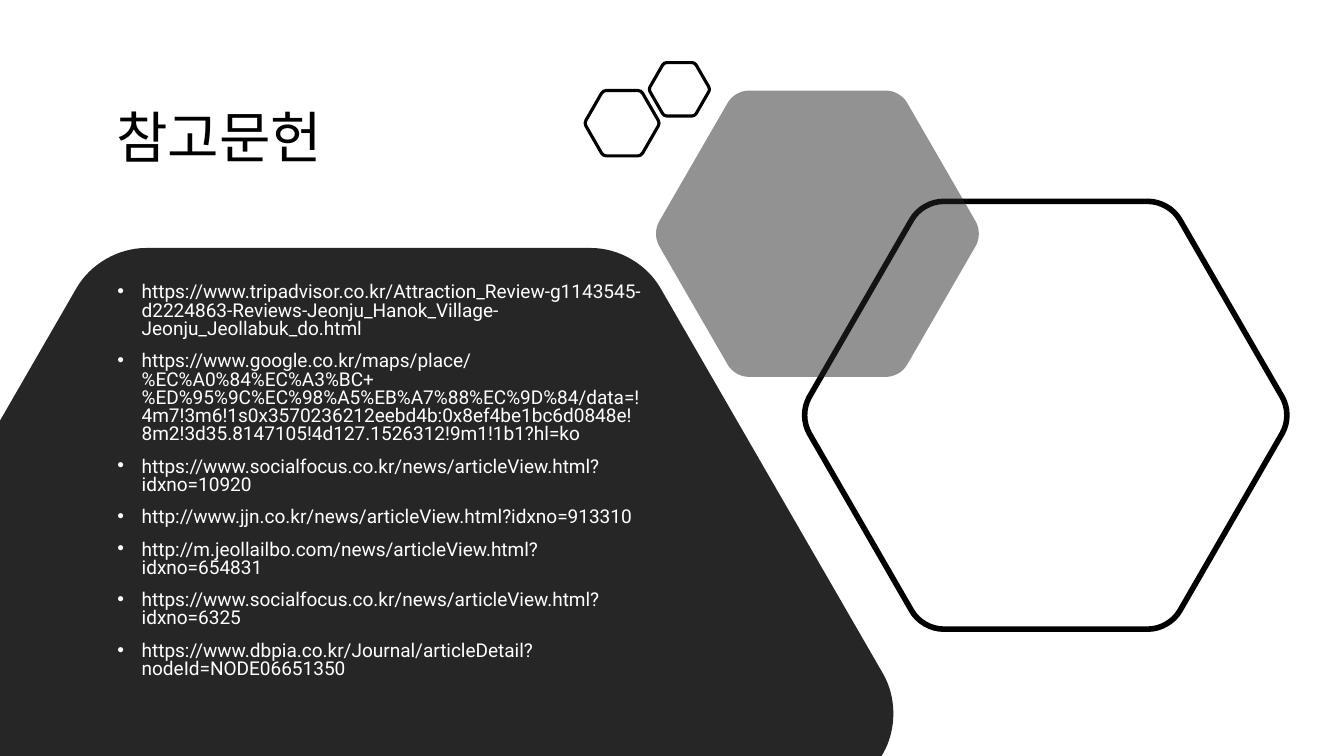
import math

import pptx
import pptx.dml.color
import pptx.enum.text
import pptx.oxml
import pptx.oxml.ns
import pptx.util

Pt = pptx.util.Pt

# Content
TITLE = "참고문헌"
REFERENCES = [
    "https://www.tripadvisor.co.kr/Attraction_Review-g1143545-d2224863-Reviews-Jeonju_Hanok_Village-Jeonju_Jeollabuk_do.html",
    "https://www.google.co.kr/maps/place/%EC%A0%84%EC%A3%BC+%ED%95%9C%EC%98%A5%EB%A7%88%EC%9D%84/data=!4m7!3m6!1s0x3570236212eebd4b:0x8ef4be1bc6d0848e!8m2!3d35.8147105!4d127.1526312!9m1!1b1?hl=ko",
    "https://www.socialfocus.co.kr/news/articleView.html?idxno=10920",
    "http://www.jjn.co.kr/news/articleView.html?idxno=913310",
    "http://m.jeollailbo.com/news/articleView.html?idxno=654831",
    "https://www.socialfocus.co.kr/news/articleView.html?idxno=6325",
    "https://www.dbpia.co.kr/Journal/articleDetail?nodeId=NODE06651350",
]

# Theme and layout, in points
THEME = {
    "font": "Roboto",
    "ink": "000000",
    "panel": "262626",
    "light": "FFFFFF",
    "title_size": 40,
    "body_size": 13.6,
}
SLIDE_WIDTH, SLIDE_HEIGHT = 960, 540
TITLE_BOX = (76, 35.3, 337, 129.6)
BODY_BOX = (76, 199.4, 388.8, 243.4)
HEXAGONS = [
    {"center": (263.2, 509.7), "side": 384, "fill": THEME["panel"]},
    {"center": (747, 296.6), "side": 176.4, "line": 4},
    {"center": (583.9, 167), "side": 118.1, "fill": THEME["panel"], "alpha": 50},
    {"center": (444.4, 88), "side": 27, "line": 2.25},
    {"center": (485.3, 63.8), "side": 22, "line": 2.25},
]
CORNER_CUT = 0.086  # share of a side taken by each rounded corner
CORNER_PULL = 0.6   # how far the curve handles reach toward the corner


def color(value):
    return pptx.dml.color.RGBColor.from_string(value)


def apply_format(target, values):
    for name, value in values.items():
        setattr(target, name, value)


def blend(start, end, share):
    return tuple(a + (b - a) * share for a, b in zip(start, end))


def clip(points, axis, limit, sign):
    """Keep the part of the outline where sign * (coordinate - limit) >= 0."""
    kept = []
    for previous, point in zip(points[-1:] + points[:-1], points):
        before, here = (sign * (p[axis] - limit) for p in (previous, point))
        if before * here < 0:
            kept.append(blend(previous, point, before / (before - here)))
        if here >= 0:
            kept.append(point)
    return kept


def hexagon_segments(center, side):
    """Segments of one point (line) or three points (curve); slide edges stay sharp."""
    corners = [
        (center[0] + side * math.cos(math.radians(angle)),
         center[1] + side * math.sin(math.radians(angle)))
        for angle in range(0, 360, 60)
    ]
    visible = clip(clip(corners, 0, 0, 1), 1, SLIDE_HEIGHT, -1)
    cut = side * CORNER_CUT
    segments = []
    for index, corner in enumerate(visible):
        if corner not in corners:
            segments.append([corner])
            continue
        start, end = (
            blend(corner, neighbor, min(1, cut / math.dist(corner, neighbor)))
            for neighbor in (visible[index - 1], visible[(index + 1) % len(visible)]))
        segments.append([start])
        segments.append([blend(start, corner, CORNER_PULL), blend(end, corner, CORNER_PULL), end])
    return segments


def bend_corners(shape, segments):
    """Join the three line points of each curve into one cubic curve."""
    lines = iter(list(shape.element.iter(pptx.oxml.ns.qn("a:lnTo"))))
    for segment in segments:
        parts = [next(lines) for _ in segment]
        if len(parts) == 3:
            curve = pptx.oxml.parse_xml(f'<a:cubicBezTo {pptx.oxml.ns.nsdecls("a")}/>')
            parts[0].addprevious(curve)
            for part in parts:
                curve.append(part[0])
                part.getparent().remove(part)


def add_hexagon(slide, center, side, fill=None, alpha=None, line=None):
    segments = hexagon_segments(center, side)
    outline = [(Pt(x), Pt(y)) for segment in segments for x, y in segment]
    builder = slide.shapes.build_freeform(*outline[0], scale=1.0)
    builder.add_line_segments(outline[1:], close=True)
    shape = builder.convert_to_shape()
    bend_corners(shape, segments[1:])
    shape.shadow.inherit = False
    if fill:
        shape.fill.solid()
        shape.fill.fore_color.rgb = color(fill)
    else:
        shape.fill.background()
    if alpha:
        fill_color = shape.element.spPr.find(".//" + pptx.oxml.ns.qn("a:srgbClr"))
        fill_color.append(pptx.oxml.parse_xml(
            f'<a:alpha {pptx.oxml.ns.nsdecls("a")} val="{alpha * 1000}"/>'))
    if line:
        shape.line.color.rgb = color(THEME["ink"])
        shape.line.width = Pt(line)
    else:
        shape.line.fill.background()


def place(placeholder, box, anchor):
    apply_format(placeholder, dict(zip(("left", "top", "width", "height"), map(Pt, box))))
    apply_format(placeholder.text_frame, {
        "word_wrap": True,
        "auto_size": pptx.enum.text.MSO_AUTO_SIZE.NONE,
        "vertical_anchor": anchor,
        "margin_left": Pt(7.2), "margin_right": Pt(7.2),
        "margin_top": Pt(3.6), "margin_bottom": Pt(3.6),
    })


def format_paragraph(paragraph, size, text_color, line_spacing, space_before):
    apply_format(paragraph, {
        "alignment": pptx.enum.text.PP_ALIGN.LEFT,
        "line_spacing": line_spacing,
        "space_before": Pt(space_before),
        "space_after": Pt(0),
    })
    for run in paragraph.runs:
        apply_format(run.font, {"name": THEME["font"], "size": Pt(size)})
        run.font.color.rgb = color(text_color)


def add_bullet(paragraph):
    properties = paragraph._p.get_or_add_pPr()
    properties.set("marL", str(Pt(18)))
    properties.set("indent", str(Pt(-17.3)))
    namespace = pptx.oxml.ns.nsdecls("a")
    for xml in (
        f'<a:buClr {namespace}><a:srgbClr val="{THEME["light"]}"/></a:buClr>',
        f'<a:buFont {namespace} typeface="Arial"/>',
        f'<a:buChar {namespace} char="•"/>',
    ):
        properties.append(pptx.oxml.parse_xml(xml))


def main():
    presentation = pptx.Presentation()
    apply_format(presentation, {"slide_width": Pt(SLIDE_WIDTH), "slide_height": Pt(SLIDE_HEIGHT)})
    slide = presentation.slides.add_slide(presentation.slide_layouts[1])

    # Title
    title = slide.shapes.title
    place(title, TITLE_BOX, pptx.enum.text.MSO_ANCHOR.MIDDLE)
    title.text_frame.text = TITLE
    format_paragraph(title.text_frame.paragraphs[0], THEME["title_size"], THEME["ink"], 0.9, 0)

    # Hexagons
    for hexagon in HEXAGONS:
        add_hexagon(slide, **hexagon)

    # Reference list, in front of the dark hexagon
    body = slide.placeholders[1]
    body.element.getparent().append(body.element)
    place(body, BODY_BOX, pptx.enum.text.MSO_ANCHOR.TOP)
    body.text_frame.text = "\n".join(REFERENCES)
    for index, paragraph in enumerate(body.text_frame.paragraphs):
        add_bullet(paragraph)
        format_paragraph(paragraph, THEME["body_size"], THEME["light"], 0.8, 10 if index else 0)

    presentation.save("out.pptx")


if __name__ == "__main__":
    main()
